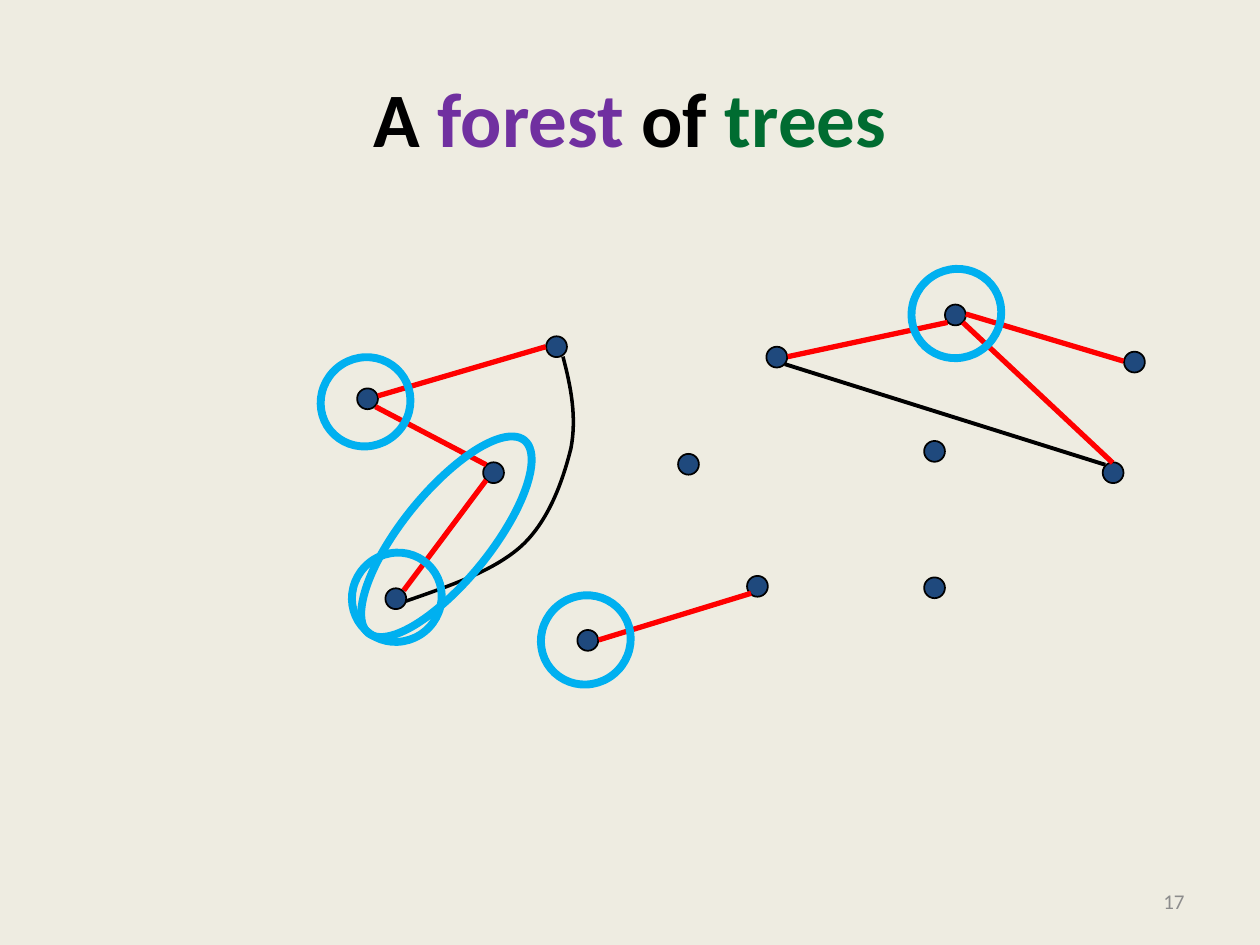
import pptx
import pptx.dml.color
import pptx.enum.shapes
import pptx.enum.text
import pptx.oxml.ns
import pptx.util
from lxml import etree
from pptx.util import Cm

COLORS = {
    "background": "EEECE1", "black": "000000", "purple": "7030A0",
    "green": "006C31", "grey": "8C8C8C", "node": "1F497D",
    "tree": "FF0000", "ring": "00B0F0",
}
NODES = [
    (18.84, 9.10), (9.95, 9.53), (11.22, 6.99), (11.85, 12.91), (18.84, 11.85),
    (19.26, 6.35), (7.41, 8.04), (13.88, 9.36), (15.66, 7.20), (15.27, 11.82),
    (22.87, 7.30), (7.98, 12.07), (22.44, 9.53),
]
TREE_EDGES = [
    (7.62, 7.98, 11.00, 6.99), (19.47, 6.33, 22.65, 7.28),
    (12.07, 12.90, 15.14, 11.96), (8.14, 11.90, 9.80, 9.68),
    (7.57, 8.20, 9.80, 9.37), (15.88, 7.19, 19.10, 6.50),
    (19.41, 6.50, 22.43, 9.33),
]
OTHER_EDGE = (15.82, 7.34, 22.28, 9.37)
CURVED_EDGE = [
    (11.35, 7.19), (11.51, 7.80), (11.63, 8.41), (11.51, 9.04), (11.35, 9.68),
    (11.07, 10.49), (10.52, 11.00), (9.96, 11.51), (9.07, 11.81), (8.18, 12.12),
]
RINGS = [(7.37, 8.10), (19.28, 6.32), (11.81, 12.90), (8.00, 12.04)]


def color(name):
    """Return the named colour."""
    return pptx.dml.color.RGBColor.from_string(COLORS[name])


def set_line(shape, name, width):
    """Give a shape or connector its line colour and width."""
    shape.line.color.rgb = color(name)
    shape.line.width = pptx.util.Pt(width)


def add_text(slide, box, pieces, size, alignment, bold=False):
    """Add a one-paragraph text box made of coloured pieces."""
    frame = slide.shapes.add_textbox(*map(Cm, box)).text_frame
    frame.word_wrap = True
    frame.vertical_anchor = pptx.enum.text.MSO_ANCHOR.MIDDLE
    paragraph = frame.paragraphs[0]
    paragraph.alignment = alignment
    paragraph.font.name = "Calibri"
    paragraph.font.size = pptx.util.Pt(size)
    paragraph.font.bold = bold
    for text, name in pieces:
        run = paragraph.add_run()
        run.text = text
        run.font.color.rgb = color(name)


def add_ellipse(slide, center, width, height, line, line_width, fill=None, rotation=0):
    """Add an ellipse around a centre, hollow unless a fill is named."""
    x, y = center
    shape = slide.shapes.add_shape(
        pptx.enum.shapes.MSO_SHAPE.OVAL,
        Cm(x - width / 2), Cm(y - height / 2), Cm(width), Cm(height))
    shape.shadow.inherit = False
    shape.rotation = rotation
    if fill:
        shape.fill.solid()
        shape.fill.fore_color.rgb = color(fill)
    else:
        shape.fill.background()
    set_line(shape, line, line_width)


def add_edge(slide, ends, name, width):
    """Add a straight edge without a shadow."""
    edge = slide.shapes.add_connector(
        pptx.enum.shapes.MSO_CONNECTOR.STRAIGHT, *map(Cm, ends))
    set_line(edge, name, width)
    etree.SubElement(edge._element.spPr, pptx.oxml.ns.qn("a:effectLst"))


def add_curve(slide, points, name, width):
    """Add an open curve of cubic segments through every third point."""
    start, *others = [(Cm(x), Cm(y)) for x, y in points]
    builder = slide.shapes.build_freeform(*start)
    builder.add_line_segments(others, close=False)
    shape = builder.convert_to_shape()
    shape.shadow.inherit = False
    shape.fill.background()
    set_line(shape, name, width)
    segments = list(shape._element.iter(pptx.oxml.ns.qn("a:lnTo")))
    path = segments[0].getparent()
    for index in range(0, len(segments), 3):
        cubic = etree.SubElement(path, pptx.oxml.ns.qn("a:cubicBezTo"))
        for segment in segments[index:index + 3]:
            cubic.append(segment[0])
            path.remove(segment)


def main():
    """Build the slide and save it."""
    presentation = pptx.Presentation()
    presentation.slide_width, presentation.slide_height = Cm(25.4), Cm(19.05)
    slide = presentation.slides.add_slide(presentation.slide_layouts[6])
    slide.background.fill.solid()
    slide.background.fill.fore_color.rgb = color("background")

    title = [("A ", "black"), ("forest", "purple"), (" of ", "black"), ("trees", "green")]
    add_text(slide, (1.27, 0.76, 22.86, 3.18), title, 44,
             pptx.enum.text.PP_ALIGN.CENTER, bold=True)
    add_text(slide, (18.21, 17.65, 5.92, 1.02), [("17", "grey")], 12,
             pptx.enum.text.PP_ALIGN.RIGHT)

    for center in NODES:
        add_ellipse(slide, center, 0.42, 0.42, "black", 1, fill="node")
    for ends in TREE_EDGES:
        add_edge(slide, ends, "black", 2.25)
        add_edge(slide, ends, "tree", 3)
    add_curve(slide, CURVED_EDGE, "black", 2)
    for center in RINGS:
        add_ellipse(slide, center, 1.83, 1.78, "ring", 4.5, rotation=320.7)
    add_ellipse(slide, (9.00, 10.82), 5.00, 1.78, "ring", 4.5, rotation=309)
    add_edge(slide, OTHER_EDGE, "black", 2.25)
    presentation.save("out.pptx")


if __name__ == "__main__":
    main()
